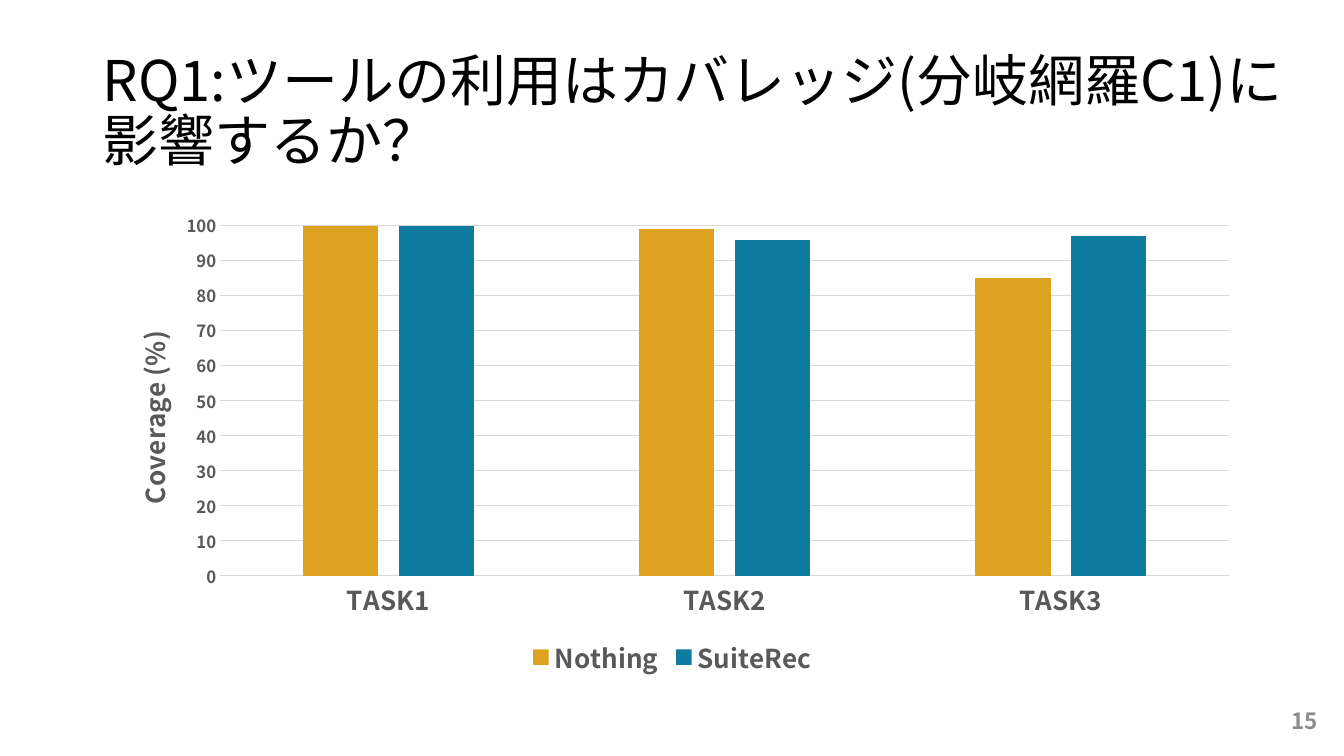
from lxml.etree import SubElement
from pptx import Presentation
from pptx.chart.data import CategoryChartData
from pptx.dml.color import RGBColor
from pptx.enum.chart import XL_CHART_TYPE, XL_LEGEND_POSITION, XL_TICK_MARK
from pptx.enum.text import MSO_ANCHOR, PP_ALIGN
from pptx.oxml import parse_xml
from pptx.oxml.ns import nsdecls, qn
from pptx.util import Inches, Pt

FONT = "Noto Sans CJK JP"
BLACK = RGBColor(0x00, 0x00, 0x00)
DARK_GREY = RGBColor(0x59, 0x59, 0x59)
PAGE_GREY = RGBColor(0x8C, 0x8C, 0x8C)
GRID_GREY = RGBColor(0xD9, 0xD9, 0xD9)
GOLD = RGBColor(0xDE, 0xA2, 0x21)
TEAL = RGBColor(0x0F, 0x7B, 0x9E)


def style_font(font, size, color=DARK_GREY, bold=True):
    font.name = FONT
    font.size = Pt(size)
    font.bold = bold
    font.color.rgb = color


def write(frame, text, size, color=DARK_GREY, bold=True, align=None, spacing=None):
    para = frame.paragraphs[0]
    para.alignment = align
    para.line_spacing = spacing
    span = para.add_run()
    span.text = text
    style_font(span.font, size, color, bold)
    SubElement(span.font._element, qn("a:ea"), typeface=FONT)


def layout(**fractions):
    """Manual chart layout; every value is a fraction of the chart area."""
    modes = '<c:layoutTarget val="inner"/>' if "w" in fractions else ""
    modes += '<c:xMode val="edge"/><c:yMode val="edge"/>'
    places = "".join(f'<c:{key} val="{value}"/>' for key, value in fractions.items())
    return parse_xml(
        f'<c:layout {nsdecls("c")}><c:manualLayout>{modes}{places}'
        "</c:manualLayout></c:layout>"
    )


class SlideBuilder:
    def __init__(self, deck):
        self.page = deck.slides.add_slide(deck.slide_layouts[6])

    def text(self, left, top, width, height, text, **style):
        box = self.page.shapes.add_textbox(
            Inches(left), Inches(top), Inches(width), Inches(height))
        frame = box.text_frame
        frame.word_wrap = True
        frame.vertical_anchor = MSO_ANCHOR.MIDDLE
        write(frame, text, **style)

    def column_chart(self, left, top, width, height, categories, series, axis_title):
        data = CategoryChartData()
        data.categories = categories
        for name, values, _ in series:
            data.add_series(name, values)
        chart = self.page.shapes.add_chart(
            XL_CHART_TYPE.COLUMN_CLUSTERED, Inches(left), Inches(top),
            Inches(width), Inches(height), data).chart
        style_font(chart.font, 10, BLACK, False)
        chart.has_title = False

        # Columns
        plot = chart.plots[0]
        plot.vary_by_categories = False
        plot.gap_width = 219
        plot.overlap = -27
        for column, (_, _, color) in zip(plot.series, series):
            column.format.fill.solid()
            column.format.fill.fore_color.rgb = color
        plot_area = chart._chartSpace.chart.plotArea
        for old in plot_area.findall(qn("c:layout")):
            plot_area.remove(old)
        plot_area.insert(0, layout(x=0.11, y=0.05, w=0.87, h=0.73))

        # Axes
        for axis, size in ((chart.category_axis, 18.6), (chart.value_axis, 12)):
            axis.major_tick_mark = axis.minor_tick_mark = XL_TICK_MARK.NONE
            style_font(axis.tick_labels.font, size)
        chart.category_axis.format.line.color.rgb = GRID_GREY
        chart.category_axis.format.line.width = Pt(0.75)
        scale = chart.value_axis
        scale.minimum_scale, scale.maximum_scale, scale.major_unit = 0, 100, 10
        scale.format.line.fill.background()
        scale.major_gridlines.format.line.color.rgb = GRID_GREY
        scale.major_gridlines.format.line.width = Pt(0.75)
        title = scale.axis_title
        write(title.text_frame, axis_title, 18.6)
        body = title._element.find(".//" + qn("a:bodyPr"))
        body.set("rot", "-5400000")
        body.set("vert", "horz")
        for old in title._element.findall(qn("c:layout")):
            title._element.remove(old)
        title._element.find(qn("c:tx")).addnext(layout(x=0.03, y=0.26))

        # Legend
        chart.has_legend = True
        chart.legend.position = XL_LEGEND_POSITION.BOTTOM
        chart.legend.include_in_layout = False
        style_font(chart.legend.font, 18.6)


def main():
    deck = Presentation()
    deck.slide_width, deck.slide_height = Inches(13.33), Inches(7.5)
    slide = SlideBuilder(deck)
    slide.text(0.92, 0.4, 12.01, 1.45,
               "RQ1:ツールの利用はカバレッジ(分岐網羅C1)に影響するか？",
               size=40, color=BLACK, bold=False, spacing=0.9)
    slide.column_chart(
        0.92, 2, 11.5, 4.76, ["TASK1", "TASK2", "TASK3"],
        [("Nothing", (100, 99, 85), GOLD), ("SuiteRec", (100, 96, 97), TEAL)],
        "Coverage (%)")
    slide.text(10.17, 6.95, 3, 0.4, "15", size=16, color=PAGE_GREY,
               align=PP_ALIGN.RIGHT)
    deck.save("out.pptx")


if __name__ == "__main__":
    main()
